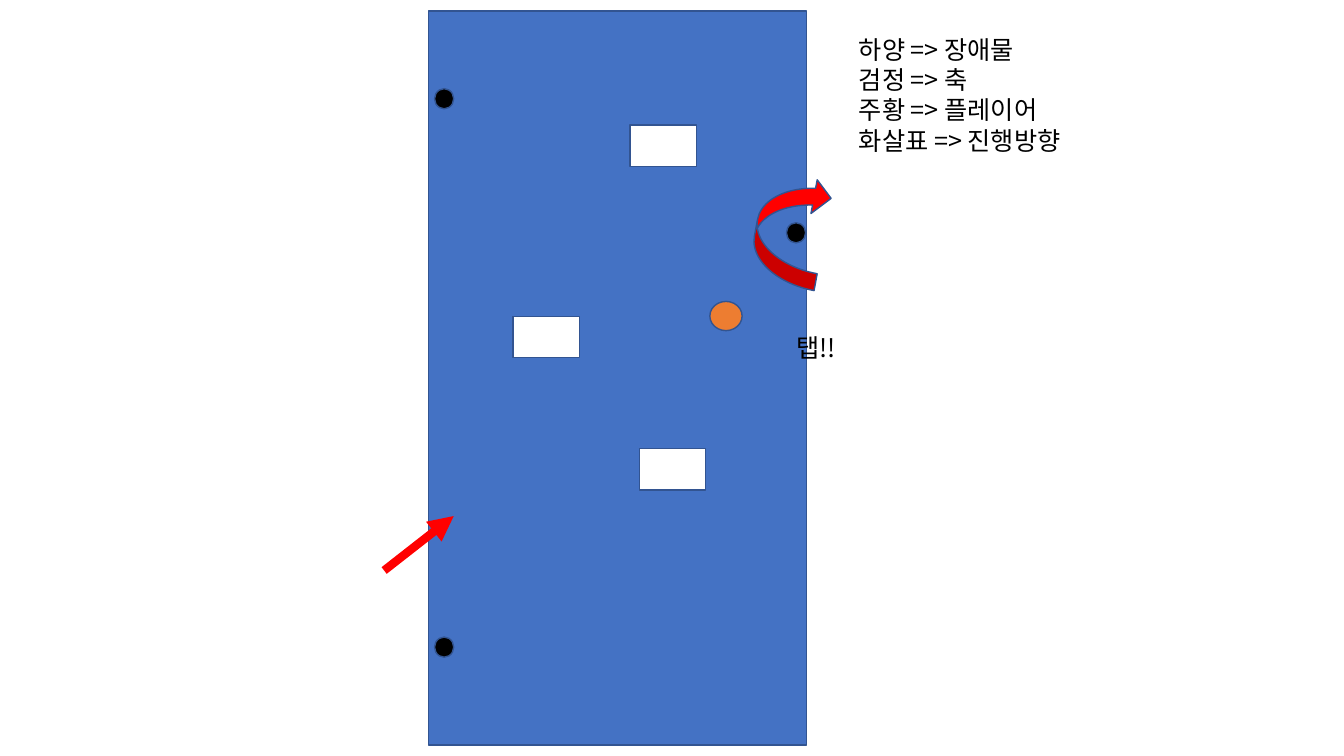
"""Build a slide that sketches a tap-to-swing obstacle game."""
from lxml import etree
from pptx import Presentation
from pptx.dml.color import RGBColor
from pptx.enum import shapes
from pptx.oxml import ns
from pptx.util import Inches, Pt

FONT = "Noto Sans CJK KR"
BLUE = RGBColor(0x44, 0x72, 0xC4)
OUTLINE = RGBColor(0x32, 0x54, 0x91)
BLACK = RGBColor(0, 0, 0)
WHITE = RGBColor(0xFF, 0xFF, 0xFF)
ORANGE = RGBColor(0xED, 0x7D, 0x31)
RED = RGBColor(0xFF, 0, 0)

FIELD_BOX = (4.25, 0.11, 3.75, 7.28)
LEGEND_BOX = (8.42, 0.29, 2.94, 1.31)
PIVOTS = [(3.55, 2.1), (0.06, 6.21), (0.06, 0.77)]
OBSTACLES = [(0.84, 3.03), (2.0, 1.13), (2.09, 4.34)]
LEGEND = ["하양 => 장애물", "검정 => 축", "주황 => 플레이어", "화살표 => 진행방향"]


def add_outlined_shape(slide, kind, box, color):
    """Add a filled preset shape with the common thin outline."""
    shape = slide.shapes.add_shape(kind, *map(Inches, box))
    shape.shadow.inherit = False
    shape.fill.solid()
    shape.fill.fore_color.rgb = color
    shape.line.color.rgb = OUTLINE
    shape.line.width = Pt(1)
    return shape


def add_label(slide, box, lines):
    """Add a wrapped text box with one paragraph per line."""
    text_frame = slide.shapes.add_textbox(*map(Inches, box)).text_frame
    text_frame.word_wrap = True
    text_frame.text = "\n".join(lines)
    for paragraph in text_frame.paragraphs:
        for run in paragraph.runs:
            run.font.size = Pt(18)
            run.font.name = FONT
            run.font.color.rgb = BLACK
            east_asian = etree.SubElement(run.font._element, ns.qn("a:ea"))
            east_asian.set("typeface", FONT)


def add_direction_arrow(slide, start, end):
    """Add a thick straight red arrow."""
    arrow = slide.shapes.add_connector(
        shapes.MSO_CONNECTOR.STRAIGHT, *map(Inches, start + end))
    arrow.line.color.rgb = RED
    arrow.line.width = Pt(6)
    etree.SubElement(arrow.line._get_or_add_ln(), ns.qn("a:tailEnd")).set("type", "triangle")
    etree.SubElement(arrow._element.spPr, ns.qn("a:effectLst"))


def add_field(slide, box):
    """Draw the playing field with its pivots, obstacles, player and arrows."""
    left, top = box[:2]
    kinds = shapes.MSO_SHAPE
    add_outlined_shape(slide, kinds.RECTANGLE, box, BLUE)
    for x, y in PIVOTS:
        add_outlined_shape(slide, kinds.OVAL, (left + x, top + y, 0.19, 0.2), BLACK)
    for x, y in OBSTACLES:
        add_outlined_shape(slide, kinds.RECTANGLE, (left + x, top + y, 0.66, 0.41), WHITE)
    add_outlined_shape(slide, kinds.OVAL, (left + 2.79, top + 2.88, 0.32, 0.29), ORANGE)
    swing = add_outlined_shape(
        slide, kinds.CURVED_LEFT_ARROW, (left + 3.25, top + 1.62, 0.68, 1.1), RED)
    swing.rotation = 190.5
    add_direction_arrow(slide, (left - 0.44, top + 5.55), (left + 0.25, top + 5.01))
    add_label(slide, (left + 3.55, top + 3.14, 0.62, 0.4), ["탭!!"])


def main():
    """Create the presentation and save it."""
    presentation = Presentation()
    presentation.slide_width = Inches(13.33)
    presentation.slide_height = Inches(7.5)
    slide = presentation.slides.add_slide(presentation.slide_layouts[6])
    add_field(slide, FIELD_BOX)
    add_label(slide, LEGEND_BOX, LEGEND)
    presentation.save("out.pptx")


main()
